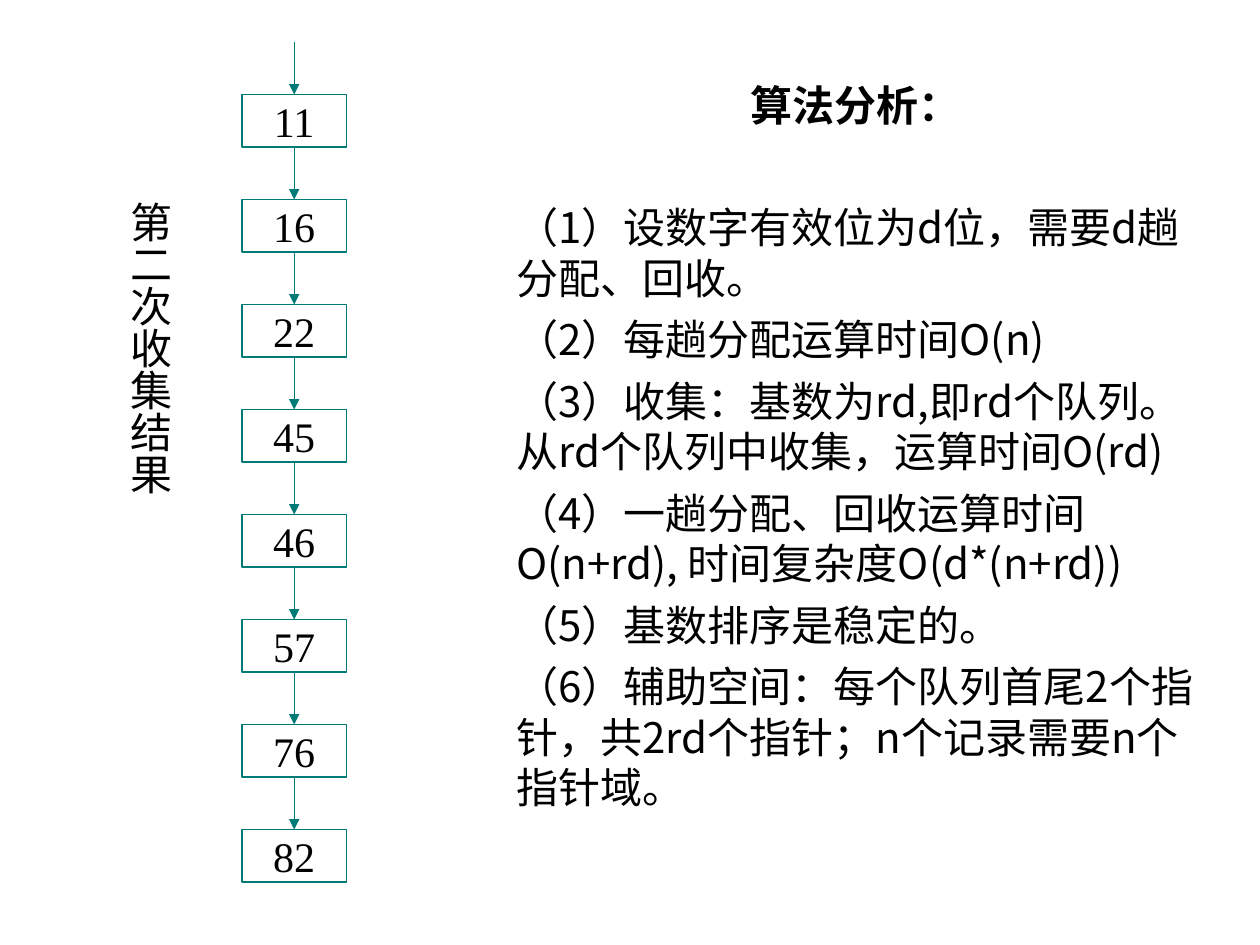
"""Build the radix sort slide: second collection result and algorithm analysis."""
from lxml import etree
from pptx import Presentation
from pptx.dml.color import RGBColor
from pptx.enum.shapes import MSO_CONNECTOR, MSO_SHAPE
from pptx.enum.text import MSO_ANCHOR, PP_ALIGN
from pptx.oxml.ns import qn
from pptx.util import Inches, Pt

RECTANGLE = MSO_SHAPE.RECTANGLE
STRAIGHT = MSO_CONNECTOR.STRAIGHT
TOP, MIDDLE = MSO_ANCHOR.TOP, MSO_ANCHOR.MIDDLE
LEFT, CENTER = PP_ALIGN.LEFT, PP_ALIGN.CENTER

COLORS = {"line": "007A77", "text": "000000"}
SERIF, SANS = "Times New Roman", "Noto Sans CJK SC"
NODE_LEFT, NODE_WIDTH, NODE_HEIGHT = 1.92, 0.83, 5 / 12
CHAIN_TOP = 1 / 3

SORTED_KEYS = ["11", "16", "22", "45", "46", "57", "76", "82"]
ANALYSIS = [
    "（1）设数字有效位为d位，需要d趟分配、回收。",
    "（2）每趟分配运算时间O(n)",
    "（3）收集：基数为rd,即rd个队列。从rd个队列中收集，运算时间O(rd)",
    "（4）一趟分配、回收运算时间O(n+rd), 时间复杂度O(d*(n+rd))",
    "（5）基数排序是稳定的。",
    "（6）辅助空间：每个队列首尾2个指针，共2rd个指针；n个记录需要n个指针域。",
]


def set_frame(frame, margins=(0.1, 0.05), **formats):
    """Set horizontal and vertical margins and other frame attributes."""
    across, down = margins
    formats.update(
        margin_left=Inches(across), margin_right=Inches(across),
        margin_top=Inches(down), margin_bottom=Inches(down),
    )
    for attribute, value in formats.items():
        setattr(frame, attribute, value)


def write(paragraph, words, font_name, bold=False, **formats):
    """Write one run with its font and paragraph format."""
    for attribute, value in formats.items():
        setattr(paragraph, attribute, value)
    run = paragraph.add_run()
    run.text = words
    font_formats = {"name": font_name, "size": Pt(24), "bold": bold}
    for attribute, value in font_formats.items():
        setattr(run.font, attribute, value)
    run.font.color.rgb = RGBColor.from_string(COLORS["text"])
    east_asian = etree.SubElement(run.font._element, qn("a:ea"))
    east_asian.set("typeface", SANS)


def style_line(line):
    """Give a line the chain colour and width."""
    line.color.rgb = RGBColor.from_string(COLORS["line"])
    line.width = Pt(0.75)


def add_node(slide, key, top):
    """Add one outlined box that holds a key."""
    node = slide.shapes.add_shape(
        RECTANGLE, Inches(NODE_LEFT), Inches(top),
        Inches(NODE_WIDTH), Inches(NODE_HEIGHT),
    )
    node.shadow.inherit = False
    node.fill.background()
    style_line(node.line)
    set_frame(node.text_frame, vertical_anchor=MIDDLE, word_wrap=False)
    write(node.text_frame.paragraphs[0], key, SERIF, alignment=CENTER)


def add_arrow(slide, top):
    """Add the downward arrow that leads to a node."""
    center = Inches(NODE_LEFT + NODE_WIDTH / 2)
    arrow = slide.shapes.add_connector(
        STRAIGHT, center, Inches(top), center, Inches(top + NODE_HEIGHT)
    )
    style_line(arrow.line)
    outline = arrow.line._get_or_add_ln()
    etree.SubElement(outline, qn("a:tailEnd")).set("type", "triangle")
    etree.SubElement(arrow._element.spPr, qn("a:effectLst"))


def add_chain(slide):
    """Add the linked list of sorted keys."""
    for index, key in enumerate(SORTED_KEYS):
        arrow_top = CHAIN_TOP + index * 2 * NODE_HEIGHT
        add_arrow(slide, arrow_top)
        add_node(slide, key, arrow_top + NODE_HEIGHT)


def add_caption(slide):
    """Add the vertical caption beside the chain."""
    caption = slide.shapes.add_textbox(
        Inches(0.84), Inches(1.5), Inches(0.6), Inches(3)
    )
    frame = caption.text_frame
    set_frame(frame, (0.05, 0.1), word_wrap=True)
    frame._txBody.bodyPr.set("vert", "eaVert")
    write(frame.paragraphs[0], "第二次收集结果", SERIF, alignment=CENTER)


def set_title(slide):
    """Place and format the heading of the analysis."""
    title = slide.shapes.title
    title.left, title.top = Inches(4), Inches(0.58)
    title.width, title.height = Inches(5.58), Inches(0.5)
    set_frame(title.text_frame, vertical_anchor=TOP, word_wrap=True)
    write(title.text_frame.paragraphs[0], "算法分析：", SANS, bold=True,
          alignment=CENTER, line_spacing=Pt(29))


def add_analysis(slide):
    """Add the numbered points of the analysis."""
    analysis = slide.shapes.add_textbox(
        Inches(4), Inches(1.55), Inches(5.58), Inches(5.32)
    )
    frame = analysis.text_frame
    set_frame(frame, word_wrap=True)
    for index, point in enumerate(ANALYSIS):
        paragraph = frame.add_paragraph() if index else frame.paragraphs[0]
        write(paragraph, point, SANS, alignment=LEFT, line_spacing=Pt(29),
              space_before=Pt(6 if index else 0))


def main():
    """Build and save the slide."""
    presentation = Presentation()
    presentation.slide_width = Inches(10)
    presentation.slide_height = Inches(7.5)
    slide = presentation.slides.add_slide(presentation.slide_layouts[5])
    set_title(slide)
    add_chain(slide)
    add_caption(slide)
    add_analysis(slide)
    presentation.save("out.pptx")


if __name__ == "__main__":
    main()
